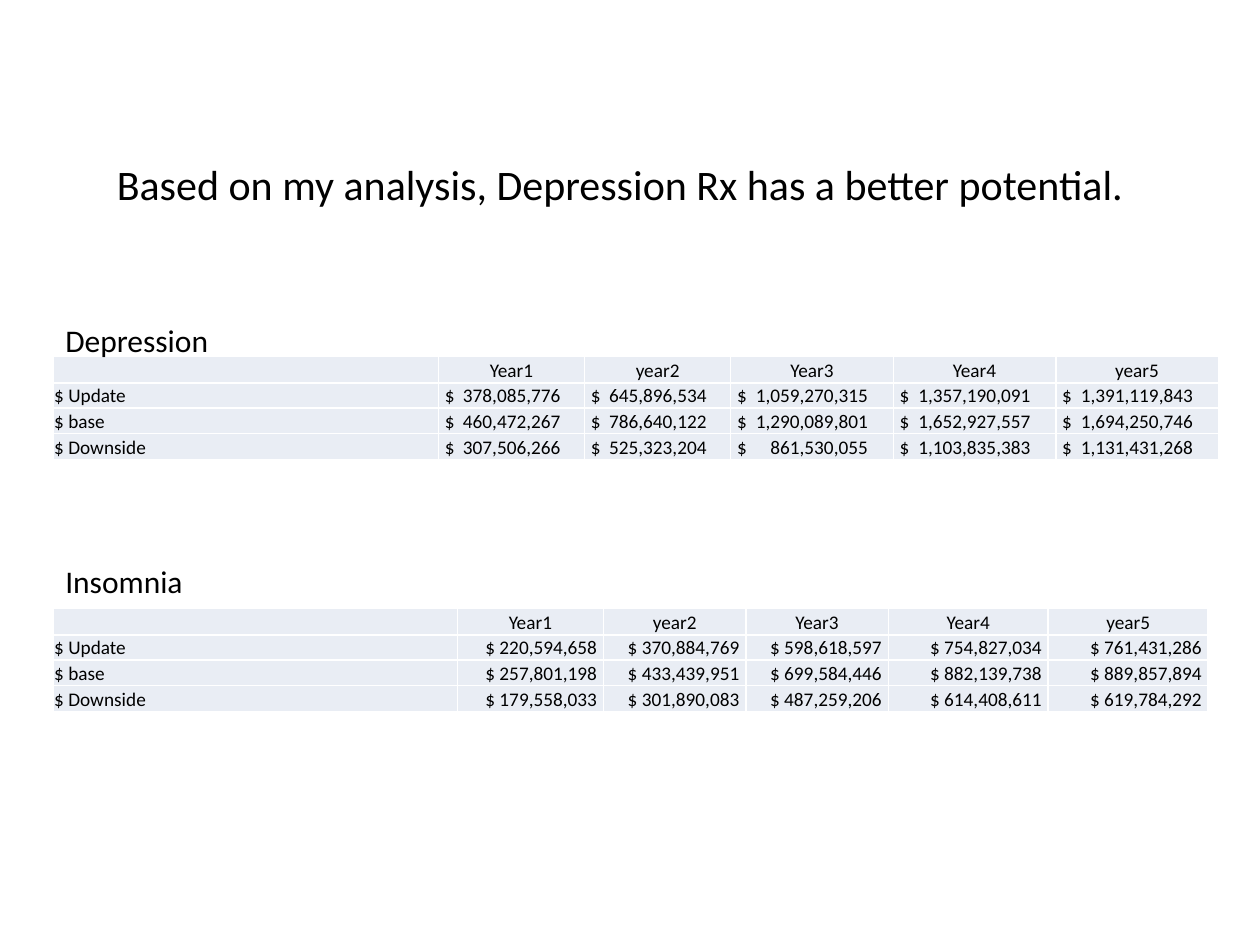
"""Build a slide comparing five-year forecasts for two treatments."""
from lxml.etree import SubElement
from pptx import Presentation
from pptx.dml.color import RGBColor
from pptx.enum.text import MSO_ANCHOR, PP_ALIGN
from pptx.oxml.ns import qn
from pptx.util import Inches, Pt

BLACK = RGBColor(0x00, 0x00, 0x00)
PALE_BLUE = RGBColor(0xE9, 0xED, 0xF4)
FONT = "Calibri"
LEFT = 0.42
ROW_HEIGHTS = [0.21, 0.2, 0.2, 0.21]
YEARS = ["", "Year1", "year2", "Year3", "Year4", "year5"]
TITLE = "Based on my analysis, Depression Rx has a better potential."
FORECASTS = [
    {
        "name": "Depression", "label_top": 2.5, "label_width": 2.58, "table_top": 2.83,
        "widths": [3.06, 1.16, 1.16, 1.29, 1.29, 1.29], "tabbed": True,
        "rows": [
            ("$ Update", 378085776, 645896534, 1059270315, 1357190091, 1391119843),
            ("$ base", 460472267, 786640122, 1290089801, 1652927557, 1694250746),
            ("$ Downside", 307506266, 525323204, 861530055, 1103835383, 1131431268),
        ],
    },
    {
        "name": "Insomnia", "label_top": 4.41, "label_width": 3, "table_top": 4.83,
        "widths": [3.21, 1.16, 1.13, 1.13, 1.27, 1.27], "tabbed": False,
        "rows": [
            ("$ Update", 220594658, 370884769, 598618597, 754827034, 761431286),
            ("$ base", 257801198, 433439951, 699584446, 882139738, 889857894),
            ("$ Downside", 179558033, 301890083, 487259206, 614408611, 619784292),
        ],
    },
]


def set_text(frame, text, size, align=PP_ALIGN.LEFT):
    para = frame.paragraphs[0]
    para.text = text
    para.alignment = align
    para.font.size = Pt(size)
    para.font.name = FONT
    para.font.color.rgb = BLACK
    return para


def add_label(slide, text, top, width, height, size, align=PP_ALIGN.LEFT):
    box = slide.shapes.add_textbox(Inches(LEFT), Inches(top), Inches(width), Inches(height))
    box.text_frame.word_wrap = True
    set_text(box.text_frame, text, size, align)
    return box


def add_right_tab(para, position):
    properties = para._p.get_or_add_pPr()
    tabs = SubElement(properties, qn("a:tabLst"))
    SubElement(tabs, qn("a:tab"), pos=str(Inches(position)), algn="r")
    properties.insert(0, tabs)


def fill_cell(cell, value, width, tabbed):
    cell.fill.solid()
    cell.fill.fore_color.rgb = PALE_BLUE
    cell.vertical_anchor = MSO_ANCHOR.BOTTOM
    cell.margin_left = cell.margin_right = cell.margin_top = Inches(0.01)
    cell.margin_bottom = 0
    if isinstance(value, str):
        align = PP_ALIGN.CENTER if value in YEARS else PP_ALIGN.LEFT
        set_text(cell.text_frame, value, 11, align)
    elif tabbed:
        cell.margin_left = Inches(0.05)
        para = set_text(cell.text_frame, f"$\t{value:,}", 11)
        add_right_tab(para, 0.92 if width < 1.2 else 1.04)
    else:
        cell.margin_right = Inches(0.05)
        set_text(cell.text_frame, f"$ {value:,}", 11, PP_ALIGN.RIGHT)


def add_forecast(slide, forecast):
    widths = forecast["widths"]
    rows = [YEARS, *forecast["rows"]]
    table = slide.shapes.add_table(
        len(rows), len(widths), Inches(LEFT), Inches(forecast["table_top"]),
        Inches(sum(widths)), Inches(sum(ROW_HEIGHTS)),
    ).table
    table.first_row = table.horz_banding = False
    for column, width in zip(table.columns, widths):
        column.width = Inches(width)
    for row, height, values in zip(table.rows, ROW_HEIGHTS, rows):
        row.height = Inches(height)
        for cell, value, width in zip(row.cells, values, widths):
            fill_cell(cell, value, width, forecast["tabbed"])
    add_label(slide, forecast["name"], forecast["label_top"], forecast["label_width"], 0.4, 18)


def main():
    deck = Presentation()
    deck.slide_width, deck.slide_height = Inches(10), Inches(7.5)
    slide = deck.slides.add_slide(deck.slide_layouts[6])
    title = add_label(slide, TITLE, 0.83, 9, 1.25, 24, PP_ALIGN.CENTER)
    title.text_frame.vertical_anchor = MSO_ANCHOR.MIDDLE
    for forecast in FORECASTS:
        add_forecast(slide, forecast)
    deck.save("out.pptx")


if __name__ == "__main__":
    main()
